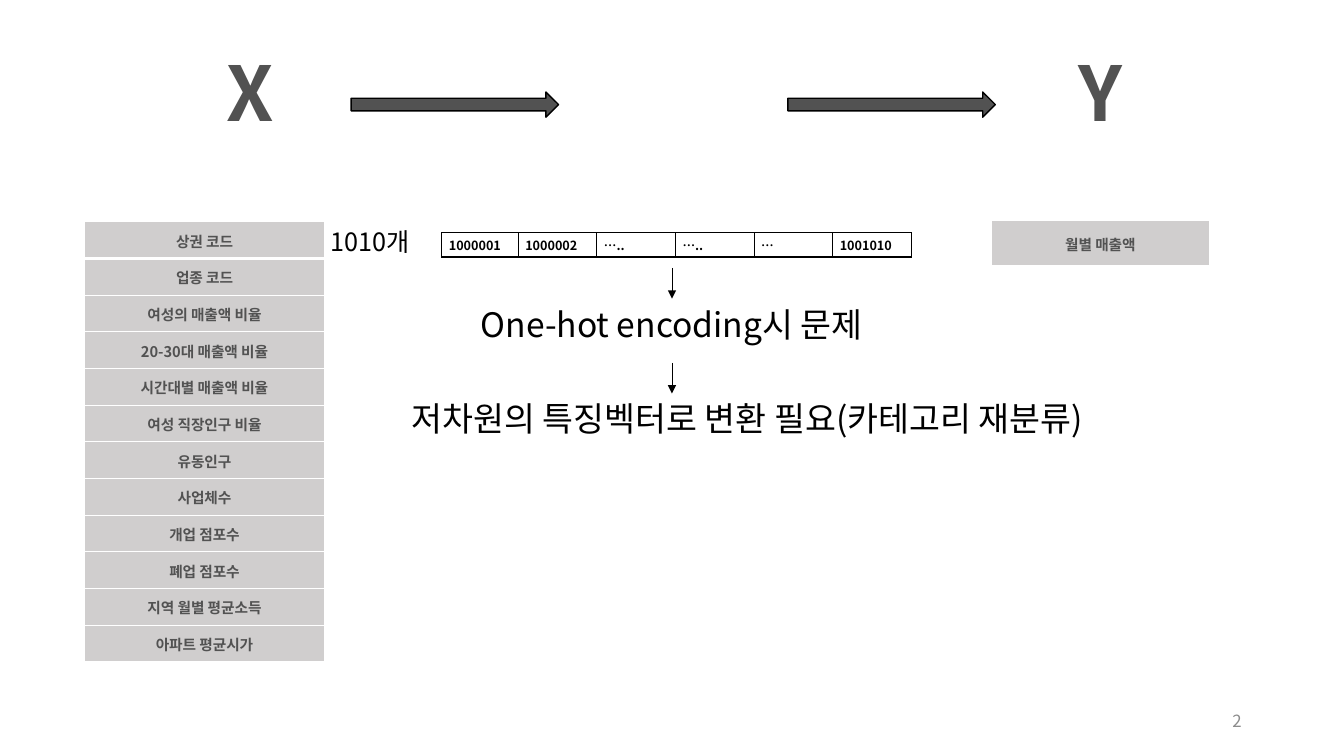
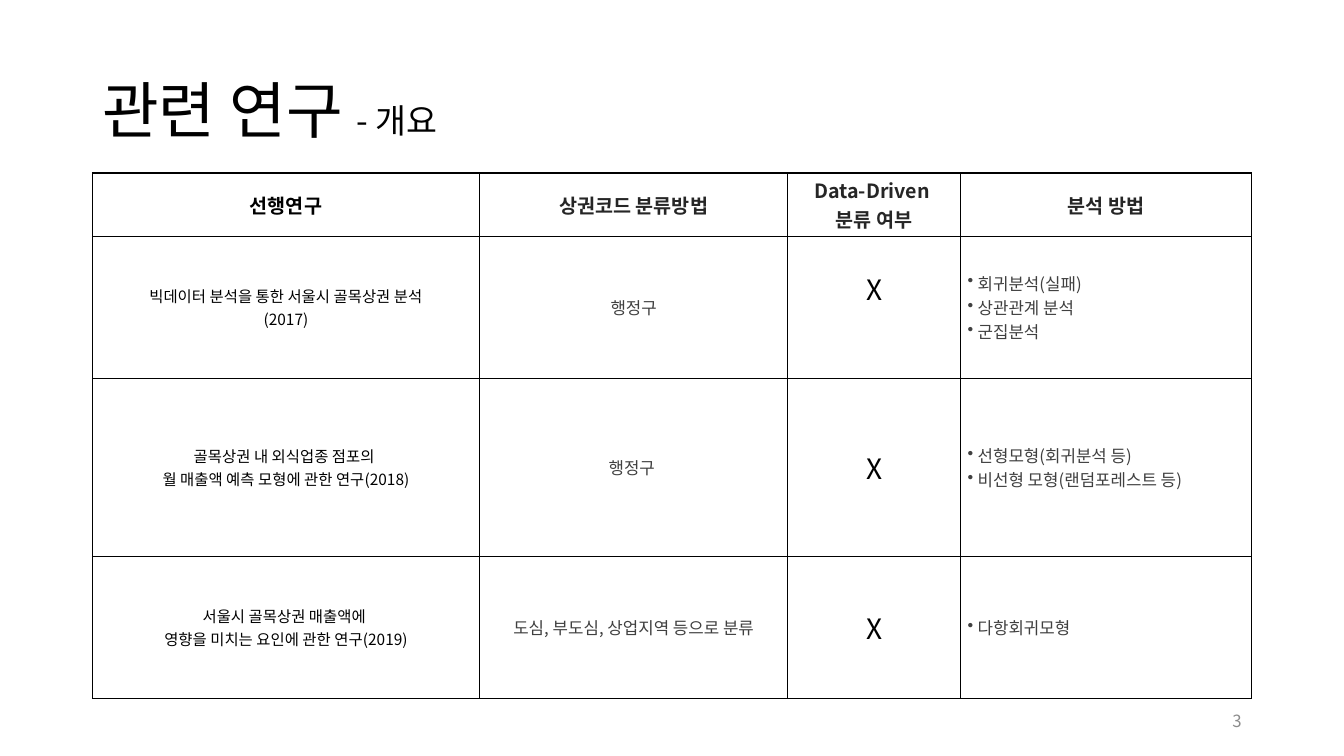
from collections import namedtuple
from dataclasses import dataclass, replace
from lxml.etree import SubElement
from pptx import Presentation
from pptx.dml.color import RGBColor
from pptx.enum.shapes import MSO_CONNECTOR as Connector, MSO_SHAPE as Preset
from pptx.enum.text import MSO_ANCHOR as Anchor, MSO_AUTO_SIZE as AutoSize, PP_ALIGN as Align
from pptx.oxml.ns import qn
from pptx.util import Inches, Pt

COLUMNS, ROWS = 160, 90
UNIT = Inches(7.5) / ROWS
Box = namedtuple("Box", "left top width height")


@dataclass(frozen=True)
class Style:
    size: float
    color: str = "000000"
    bold: bool = False
    align: Align = Align.LEFT
    spacing: float = 1.0
    bullet: str = ""
    outline: str = ""


@dataclass(frozen=True)
class Theme:
    font: str = "Noto Sans CJK KR"
    black: str = "000000"
    white: str = "FFFFFF"
    dark: str = "525252"
    panel: str = "D0CECE"
    title: Style = Style(44, spacing=0.9)
    subtitle: Style = Style(24)
    number: Style = Style(12, "8C8C8C", align=Align.RIGHT)
    variable: Style = Style(54, "525252", True, Align.CENTER, outline="FFFFFF")
    label: Style = Style(10.5, "525252", True, Align.CENTER, 1.07)
    code: Style = Style(9, bold=True)
    count: Style = Style(18)
    statement: Style = Style(24, align=Align.CENTER)
    heading: Style = Style(14, "262626", True, Align.CENTER)
    study: Style = Style(11, align=Align.CENTER)
    area: Style = Style(12, "404040", align=Align.CENTER)
    mark: Style = Style(20, align=Align.CENTER)
    method: Style = Style(12, "404040", bullet="•")


THEME = Theme()


def rgb(color):
    return RGBColor.from_string(color)


def units(*values):
    return [round(value * UNIT) for value in values]


def assign(target, values):
    for name, value in values.items():
        setattr(target, name, value)


def add_line_fill(line, color):
    SubElement(SubElement(line, qn("a:solidFill")), qn("a:srgbClr"), val=color)


def add_run(paragraph, text, style):
    run = paragraph.add_run()
    run.text = text
    assign(run.font, {"name": THEME.font, "size": Pt(style.size), "bold": style.bold})
    run.font.color.rgb = rgb(style.color)
    properties = run.font._element
    SubElement(properties, qn("a:ea"), typeface=THEME.font)
    if style.outline:
        outline = SubElement(properties, qn("a:ln"), w=str(Pt(0.75)))
        add_line_fill(outline, style.outline)
        properties.insert(0, outline)


def write_text(frame, lines, style):
    for index, line in enumerate(lines):
        paragraph = frame.add_paragraph() if index else frame.paragraphs[0]
        assign(paragraph, {"alignment": style.align, "line_spacing": style.spacing})
        if style.bullet:
            properties = paragraph._p.get_or_add_pPr()
            properties.set("marL", str(Inches(0.1)))
            properties.set("indent", str(-Inches(0.1)))
            SubElement(properties, qn("a:buChar"), char=style.bullet)
        runs = [(line, style)] if isinstance(line, str) else line
        for text, run_style in runs:
            add_run(paragraph, text, run_style)


def add_text(slide, box, lines, style, anchor=Anchor.TOP, wrap=True):
    frame = slide.shapes.add_textbox(*units(*box)).text_frame
    assign(frame, {"word_wrap": wrap, "vertical_anchor": anchor, "auto_size": AutoSize.NONE})
    write_text(frame, lines, style)


def add_borders(cell, color, widths):
    properties = cell._tc.get_or_add_tcPr()
    for side, width in zip("LRTB", widths):
        line = SubElement(properties, qn(f"a:ln{side}"), w=str(Pt(width)))
        add_line_fill(line, color)


def add_grid(slide, box, widths, heights, border, first_bottom=1):
    frame = slide.shapes.add_table(len(heights), len(widths), *units(*box))
    table = frame.table
    assign(table, {"first_row": False, "horz_banding": False})
    for column, width in zip(table.columns, units(*widths)):
        column.width = width
    for index, (row, height) in enumerate(zip(table.rows, units(*heights))):
        row.height = height
        top = first_bottom if index == 1 else 1
        bottom = 1 if index else first_bottom
        for cell in row.cells:
            add_borders(cell, border, (1, 1, top, bottom))
            cell.fill.background()
    return table


def fill_cell(cell, lines, style, margins, anchor=Anchor.MIDDLE):
    side, edge = map(Inches, margins)
    assign(cell, {"margin_left": side, "margin_right": side, "margin_top": edge,
                  "margin_bottom": edge, "vertical_anchor": anchor})
    write_text(cell.text_frame, lines, style)


def label_table(slide, box, labels):
    heights = [box.height / len(labels)] * len(labels)
    table = add_grid(slide, box, [box.width], heights, THEME.white, 3)
    for row, label in zip(table.rows, labels):
        cell = row.cells[0]
        cell.fill.solid()
        cell.fill.fore_color.rgb = rgb(THEME.panel)
        fill_cell(cell, [label], THEME.label, (0.06, 0))


def code_table(slide, box, codes):
    first = 9.1
    rest = (box.width - first) / (len(codes) - 1)
    widths = [first] + [rest] * (len(codes) - 1)
    table = add_grid(slide, box, widths, [box.height], THEME.black, 2)
    for cell, code in zip(table.rows[0].cells, codes):
        fill_cell(cell, [code], THEME.code, (0.07, 0.03), Anchor.TOP)


def block_arrow(slide, box):
    shape = slide.shapes.add_shape(Preset.RIGHT_ARROW, *units(*box))
    shape.shadow.inherit = False
    shape.fill.solid()
    shape.fill.fore_color.rgb = rgb(THEME.dark)
    shape.line.color.rgb = rgb(THEME.black)
    shape.line.width = Pt(1)


def down_arrow(slide, x, top, bottom):
    connector = slide.shapes.add_connector(Connector.STRAIGHT, *units(x, top, x, bottom))
    connector.line.color.rgb = rgb(THEME.black)
    connector.line.width = Pt(0.5)
    SubElement(connector.line._get_or_add_ln(), qn("a:tailEnd"), type="triangle")
    SubElement(connector._element.spPr, qn("a:effectLst"))


def flow_header(slide, box):
    for name, left, width in (("X", 25.6, 8.4), ("Y", 127.1, 7.9)):
        letter = Box(box.left + left, box.top, width, box.height)
        add_text(slide, letter, [name], THEME.variable, wrap=False)
    for left in (41.8, 93.8):
        block_arrow(slide, Box(box.left + left, box.top + box.height / 2, 24.7, 3))


def encoding_steps(slide, box):
    centre = COLUMNS / 2
    codes = ["1000001", "1000002", "…..", "…..", "…", "1001010"]
    code_table(slide, Box(box.left + 36.8, box.top, 55.9, 2.65), codes)
    for top in (4.2, 15.5):
        down_arrow(slide, centre, box.top + top, box.top + top + 3.65)
    statements = (
        (0, 7.9, "One-hot encoding시 문제 "),
        (18, 19.1, "저차원의 특징벡터로 변환 필요(카테고리 재분류) "),
    )
    for indent, top, text in statements:
        line = Box(box.left + indent, box.top + top, box.width - indent, 6)
        add_text(slide, line, [text], THEME.statement)


def research_table(slide, box, headings, studies):
    shares = (0.334, 0.266, 0.149, 0.251)
    widths = [box.width * share for share in shares]
    heights = (6.5, 16.9, 21.2, 16.9)
    table = add_grid(slide, box, widths, heights, THEME.black)
    margins = (0.07, 0.03)
    for index, (cell, lines) in enumerate(zip(table.rows[0].cells, headings)):
        style = THEME.heading if index else replace(THEME.heading, color=THEME.black)
        fill_cell(cell, lines, style, margins)
    styles = (THEME.study, THEME.area, THEME.mark, THEME.method)
    for row, study in zip(list(table.rows)[1:], studies):
        for cell, lines, style in zip(row.cells, study, styles):
            fill_cell(cell, lines, style, margins)
    table.cell(1, 2).margin_bottom = Inches(0.4)


def new_slide(presentation, number):
    slide = presentation.slides.add_slide(presentation.slide_layouts[6])
    add_text(slide, Box(113, 83.4, 36, 4.8), [str(number)], THEME.number, Anchor.MIDDLE)
    return slide


def encoding_slide(presentation, number):
    slide = new_slide(presentation, number)
    features = [
        "상권 코드", "업종 코드", "여성의 매출액 비율", "20-30대 매출액 비율",
        "시간대별 매출액 비율", "여성 직장인구 비율", "유동인구", "사업체수",
        "개업 점포수", "폐업 점포수", "지역 월별 평균소득", "아파트 평균시가",
    ]
    flow_header(slide, Box(0, 4.9, COLUMNS, 12.1))
    label_table(slide, Box(10, 26.4, 28.7, 52.4), features)
    label_table(slide, Box(118, 26.2, 26, 5.6), ["월별 매출액"])
    add_text(slide, Box(38.2, 26.3, 12.1, 4.8), ["1010개"], THEME.count)
    encoding_steps(slide, Box(15.8, 27.7, 129.2, 25.1))


def research_slide(presentation, number):
    slide = new_slide(presentation, number)
    title = [("관련 연구 ", THEME.title), ("- 개요", THEME.subtitle)]
    add_text(slide, Box(11, 4.8, 138, 17.4), [title], THEME.title, Anchor.MIDDLE)
    headings = (["선행연구"], ["상권코드 분류방법"], ["Data-Driven ", "분류 여부"], ["분석 방법"])
    studies = (
        (["빅데이터 분석을 통한 서울시 골목상권 분석", "(2017)"], ["행정구"], ["X"],
         ["회귀분석(실패)", "상관관계 분석", "군집분석"]),
        (["골목상권 내 외식업종 점포의 ", "월 매출액 예측 모형에 관한 연구(2018)"], ["행정구 "], ["X"],
         ["선형모형(회귀분석 등)", "비선형 모형(랜덤포레스트 등)"]),
        (["서울시 골목상권 매출액에 ", "영향을 미치는 요인에 관한 연구(2019)"],
         ["도심, 부도심, 상업지역 등으로 분류"], ["X"], ["다항회귀모형"]),
    )
    research_table(slide, Box(11, 20.6, 138, 61.5), headings, studies)


presentation = Presentation()
presentation.slide_width, presentation.slide_height = units(COLUMNS, ROWS)
for number, build in enumerate((encoding_slide, research_slide), start=2):
    build(presentation, number)
presentation.save("out.pptx")
